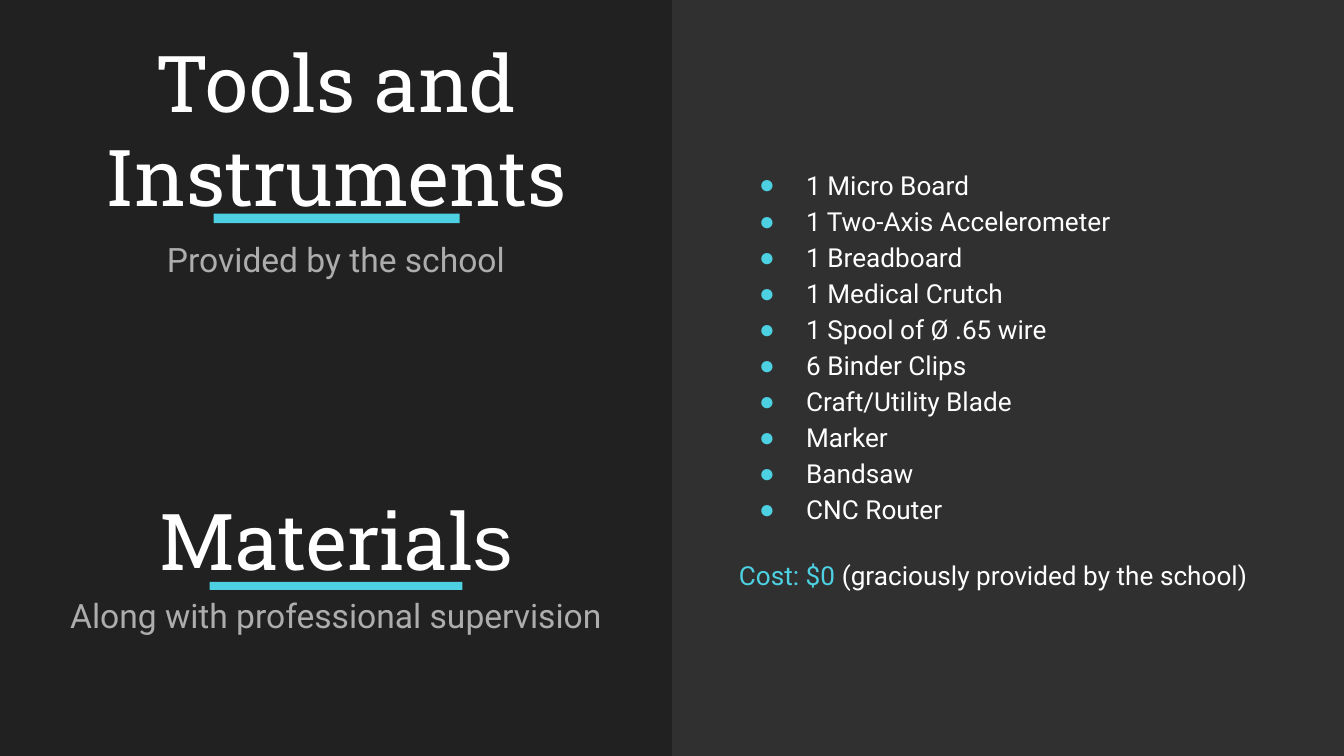
from typing import NamedTuple

from lxml import etree
from pptx import Presentation
from pptx.dml.color import RGBColor
from pptx.enum.shapes import MSO_SHAPE
from pptx.enum.text import MSO_ANCHOR, PP_ALIGN
from pptx.oxml.ns import qn
from pptx.util import Inches, Pt

RECTANGLE = MSO_SHAPE.RECTANGLE
TOP, MIDDLE, BOTTOM = MSO_ANCHOR.TOP, MSO_ANCHOR.MIDDLE, MSO_ANCHOR.BOTTOM
CENTER = PP_ALIGN.CENTER

SLIDE_WIDTH = 10
SLIDE_HEIGHT = SLIDE_WIDTH * 9 / 16
BACKGROUND, PANEL = "212121", "303030"
ACCENT, WHITE, GRAY = "4DD0E1", "FFFFFF", "ADADAD"
BODY_FONT, TITLE_FONT, PLAIN_FONT = "Roboto", "Roboto Slab", "Arial"


class Box(NamedTuple):
    left: float
    top: float
    width: float
    height: float


class Run(NamedTuple):
    text: str
    size: float
    color: str
    font: str = BODY_FONT


class Heading(NamedTuple):
    title: list[list[Run]]
    title_top: float
    subtitle: str
    subtitle_top: float
    underline: Box


HEADINGS = [
    Heading(
        [[Run("Tools and", 42, WHITE, TITLE_FONT)],
         [Run("Instruments", 42, WHITE, TITLE_FONT)]],
        0.13, "Provided by the school", 1.68, Box(1.59, 1.59, 1.83, 0.07),
    ),
    Heading(
        [[Run("Material", 42, WHITE, TITLE_FONT), Run("s", 42, WHITE, PLAIN_FONT)]],
        2.84, "Along with professional supervision", 4.33,
        Box(1.56, 4.33, 1.88, 0.06),
    ),
]
SUPPLIES = [
    "1 Micro Board",
    "1 Two-Axis Accelerometer",
    "1 Breadboard",
    "1 Medical Crutch",
    "1 Spool of Ø .65 wire",
    "6 Binder Clips",
    "Craft/Utility Blade",
    "Marker",
    "Bandsaw",
    "CNC Router",
]
COST = [
    Run("Cost: $0", 14, ACCENT),
    Run(" (graciously provided by the school)", 14, WHITE),
]


def rgb(color: str) -> RGBColor:
    return RGBColor.from_string(color)


def add_rectangle(slide, box: Box, color: str) -> None:
    shape = slide.shapes.add_shape(RECTANGLE, *map(Inches, box))
    shape.shadow.inherit = False
    shape.fill.solid()
    shape.fill.fore_color.rgb = rgb(color)
    shape.line.fill.background()


def add_text(slide, box: Box, lines: list[list[Run]], anchor, alignment=None) -> list:
    """Add a wrapped text box and return its paragraphs."""
    frame = slide.shapes.add_textbox(*map(Inches, box)).text_frame
    frame.word_wrap = True
    frame.vertical_anchor = anchor
    frame.margin_left = frame.margin_right = Inches(0.1)
    frame.margin_top = frame.margin_bottom = Inches(0.1)
    for index, line in enumerate(lines):
        paragraph = frame.add_paragraph() if index else frame.paragraphs[0]
        paragraph.alignment = alignment
        for item in line:
            run = paragraph.add_run()
            run.text = item.text
            run.font.size = Pt(item.size)
            run.font.name = item.font
            run.font.color.rgb = rgb(item.color)
    return list(frame.paragraphs)


def add_bullet(paragraph) -> None:
    properties = paragraph._p.get_or_add_pPr()
    properties.set("marL", str(Inches(0.5)))
    properties.set("indent", str(Inches(-0.35)))
    bullet_color = etree.SubElement(properties, qn("a:buClr"))
    etree.SubElement(bullet_color, qn("a:srgbClr"), val=ACCENT)
    etree.SubElement(properties, qn("a:buFont"), typeface=PLAIN_FONT)
    etree.SubElement(properties, qn("a:buChar"), char="●")


def add_heading(slide, heading: Heading) -> None:
    add_text(slide, Box(0.29, heading.title_top, 4.42, 1.62),
             heading.title, BOTTOM, CENTER)
    add_text(slide, Box(0.29, heading.subtitle_top, 4.42, 1.35),
             [[Run(heading.subtitle, 18, GRAY)]], TOP, CENTER)
    add_rectangle(slide, heading.underline, ACCENT)


def add_supply_list(slide) -> None:
    lines = [[Run(supply, 14, WHITE)] for supply in SUPPLIES] + [COST]
    paragraphs = add_text(slide, Box(5.4, 0.79, 4.2, 4.04), lines, MIDDLE)
    for paragraph in paragraphs:
        paragraph.line_spacing = 1.15
    *supplies, cost = paragraphs
    for paragraph in supplies:
        add_bullet(paragraph)
    cost.space_before = cost.space_after = Pt(16)


def main() -> None:
    presentation = Presentation()
    presentation.slide_width = Inches(SLIDE_WIDTH)
    presentation.slide_height = Inches(SLIDE_HEIGHT)
    slide = presentation.slides.add_slide(presentation.slide_layouts[6])
    slide.background.fill.solid()
    slide.background.fill.fore_color.rgb = rgb(BACKGROUND)

    add_rectangle(slide, Box(SLIDE_WIDTH / 2, 0, SLIDE_WIDTH / 2, SLIDE_HEIGHT), PANEL)
    for heading in HEADINGS:
        add_heading(slide, heading)
    add_supply_list(slide)
    presentation.save("out.pptx")


if __name__ == "__main__":
    main()
